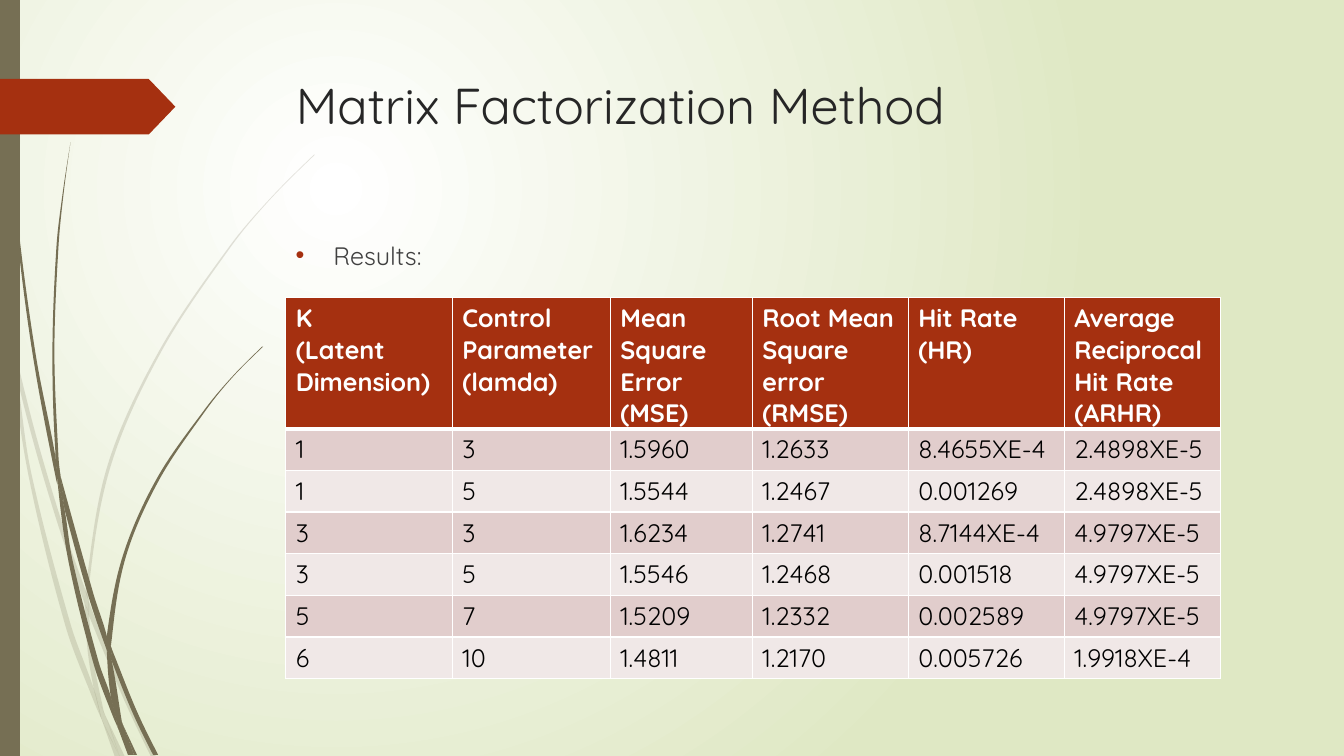
"""Build a slide with a results table for the matrix factorization method."""
from dataclasses import dataclass

from lxml import etree
from pptx import Presentation
from pptx.dml.color import RGBColor
from pptx.enum.shapes import MSO_SHAPE
from pptx.enum.text import MSO_ANCHOR, MSO_AUTO_SIZE, PP_ALIGN
from pptx.oxml.ns import qn
from pptx.util import Cm, Pt

RECTANGLE, PENTAGON = MSO_SHAPE.RECTANGLE, MSO_SHAPE.PENTAGON
TOP, LEFT, NO_AUTOFIT = MSO_ANCHOR.TOP, PP_ALIGN.LEFT, MSO_AUTO_SIZE.NONE

WHITE = RGBColor(0xFF, 0xFF, 0xFF)
BLACK = RGBColor(0x00, 0x00, 0x00)
PALE_GREEN = RGBColor(0xDF, 0xE8, 0xC4)
OLIVE = RGBColor(0x76, 0x6F, 0x54)
RUST = RGBColor(0xA5, 0x30, 0x10)
TITLE_GREY = RGBColor(0x26, 0x26, 0x26)
BODY_GREY = RGBColor(0x40, 0x40, 0x40)
ROSE = RGBColor(0xE1, 0xCD, 0xCC)
LIGHT_ROSE = RGBColor(0xF0, 0xE8, 0xE7)
FONT = "Quicksand"
GRASS_UNIT = Cm(2.54)
Edge = list[tuple[float, float]]


@dataclass
class Blade:
    """A piece of grass between two edges, each running downwards in grass units."""
    near: Edge
    far: Edge


FAINT_GRASS = [
    Blade([(0, 2.82), (.09, 3.22), (.11, 3.5)], [(0, 2.99), (.1, 3.44)]),
    Blade([(.14, 3.45), (.36, 4.33), (.62, 5.2), (.85, 5.86)],
          [(.17, 3.76), (.36, 4.49), (.58, 5.22), (.84, 5.99)]),
    Blade([(.88, 5.96), (.92, 6.07), (1.27, 6.92), (1.55, 7.51)],
          [(.88, 6.1), (1.23, 6.94), (1.5, 7.51)]),
    Blade([(1.05, 7.11), (1.24, 7.51)], [(1.19, 7.51)]),
    Blade([(.11, 3.5), (.17, 3.76), (.31, 4.69), (.7, 6.19), (.93, 6.83), (1.01, 7.14)],
          [(.11, 3.5), (.28, 4.7), (.65, 6.21), (.92, 6.93), (1.01, 7.14)]),
    Blade([(.84, 5.99), (.88, 6.08), (.91, 6.46), (1.03, 7.06), (1.05, 7.11)],
          [(.84, 5.99), (.87, 6.46), (.93, 6.83), (.96, 6.92)]),
    Blade([(3.12, 1.53), (2.68, 1.97), (2.28, 2.44), (1.58, 3.48), (1.07, 4.61), (.85, 5.84),
           (.88, 5.96)],
          [(3.12, 1.54), (2.68, 1.98), (2.29, 2.45), (1.6, 3.49), (1.1, 4.62), (.88, 5.84)]),
    Blade([(1.01, 7.14), (1.19, 7.51)], [(1.14, 7.51)]),
    Blade([(.85, 5.86), (.88, 5.96), (.88, 6.1)], [(.84, 5.99), (.88, 6.08)]),
    Blade([(.93, 6.83), (.96, 6.92), (1.05, 7.11), (1.19, 7.51)],
          [(.99, 7.07), (1.01, 7.14), (1.19, 7.51)]),
]
SOLID_GRASS = [
    Blade([(.04, 0), (.05, .48), (.08, 1.09), (.19, 2.32), (.36, 3.55), (.55, 4.53), (.57, 4.81)],
          [(.03, 0), (.04, .48), (.07, 1.1), (.17, 2.33), (.33, 3.55), (.56, 4.77)]),
    Blade([(.6, 4.72), (.93, 5.9), (1.06, 6.31), (1.06, 6.45)],
          [(.64, 5.05), (.88, 5.92), (1.06, 6.45)]),
    Blade([(1.1, 6.41), (1.13, 6.49), (1.36, 7.06), (1.57, 7.49)],
          [(1.11, 6.56), (1.32, 7.08), (1.52, 7.49)]),
    Blade([(.57, 4.77), (.64, 5.05), (.72, 5.56), (.98, 6.57), (1.1, 6.91), (1.17, 7.22)],
          [(.57, 4.77), (.68, 5.57), (.93, 6.59), (1.11, 7.08), (1.17, 7.22)]),
    Blade([(.7, 1.41), (.62, 1.93), (.56, 2.45), (.52, 3.49), (.55, 4.49), (.6, 4.72)],
          [(.7, 1.41), (.63, 1.93), (.58, 2.45), (.54, 3.49), (.58, 4.53), (.6, 4.72)]),
    Blade([(1.22, 7.19), (1.36, 7.49)], [(1.33, 7.49)]),
    Blade([(.55, 4.49), (.6, 4.72), (.64, 5.05)], [(.55, 4.53), (.57, 4.77)]),
    Blade([(2.6, 3.44), (2.31, 3.73), (2.04, 4.05), (1.56, 4.74), (1.22, 5.51), (1.06, 6.31),
           (1.1, 6.41)],
          [(2.61, 3.44), (2.31, 3.74), (2.05, 4.06), (1.58, 4.76), (1.25, 5.52), (1.11, 6.33)]),
    Blade([(1.17, 7.22), (1.31, 7.49)], [(1.27, 7.49)]),
    Blade([(1.06, 6.45), (1.11, 6.56), (1.21, 7.16), (1.22, 7.19)],
          [(1.06, 6.45), (1.1, 6.91), (1.16, 7.06)]),
    Blade([(1.06, 6.31), (1.1, 6.41), (1.11, 6.56)], [(1.06, 6.45)]),
    Blade([(1.1, 6.91), (1.22, 7.19), (1.33, 7.49)], [(1.17, 7.22), (1.3, 7.49)]),
]

COLUMN_WIDTHS = [4.2, 3.98, 3.58, 3.93, 3.93, 3.93]
RESULTS = [
    ["K\n(Latent Dimension)", "Control Parameter (lamda)", "Mean Square Error (MSE)",
     "Root Mean Square error\n(RMSE)", "Hit Rate (HR)", "Average Reciprocal Hit Rate\n(ARHR)"],
    ["1", "3", "1.5960", "1.2633", "8.4655XE-4", "2.4898XE-5"],
    ["1", "5", "1.5544", "1.2467", "0.001269", "2.4898XE-5"],
    ["3", "3", "1.6234", "1.2741", "8.7144XE-4", "4.9797XE-5"],
    ["3", "5", "1.5546", "1.2468", "0.001518", "4.9797XE-5"],
    ["5", "7", "1.5209", "1.2332", "0.002589", "4.9797XE-5"],
    ["6", "10", "1.4811", "1.2170", "0.005726", "1.9918XE-4"],
]


def write(frame, text: str, *, size: int = 18, color: RGBColor = BLACK, bold: bool = False) -> None:
    """Fill a text frame, one paragraph for each line of text."""
    frame.word_wrap = True
    frame.text = text
    for para in frame.paragraphs:
        para.alignment = LEFT
        for span in para.runs:
            span.font.name, span.font.size, span.font.bold = FONT, Pt(size), bold
            span.font.color.rgb = color


def paint(shape, color: RGBColor, opacity: int = 100) -> None:
    """Give a shape a plain fill without line or shadow."""
    shape.shadow.inherit = False
    shape.fill.solid()
    shape.fill.fore_color.rgb = color
    shape.line.fill.background()
    if opacity < 100:
        fill_color = shape.element.spPr.find(qn("a:solidFill"))[0]
        etree.SubElement(fill_color, qn("a:alpha"), val=str(opacity * 1000))


def paint_background(page) -> None:
    """Lay a circular white to green gradient behind the slide."""
    fill = page.background.fill
    fill.gradient()
    for stop, color in zip(fill.gradient_stops, (WHITE, PALE_GREEN)):
        stop.color.rgb = color
    linear = page.element.find(".//" + qn("a:lin"))
    circle = etree.Element(qn("a:path"), path="circle")
    etree.SubElement(circle, qn("a:fillToRect"), l="50000", t="50000", r="100000", b="100000")
    linear.getparent().replace(linear, circle)


def edge_curves(edge: Edge) -> list[Edge]:
    """Return the control points and end of each smooth curve along an edge."""
    chords = [(x1 - x0) / (y1 - y0) for (x0, y0), (x1, y1) in zip(edge, edge[1:])]
    inner = [(x1 - x0) / (y1 - y0) for (x0, y0), (x1, y1) in zip(edge, edge[2:])]
    if inner:
        slopes = [1.5 * chords[0] - inner[0] / 2, *inner, 1.5 * chords[-1] - inner[-1] / 2]
    else:
        slopes = chords * 2
    curves = []
    for (x0, y0), (x1, y1), s0, s1 in zip(edge, edge[1:], slopes, slopes[1:]):
        third = (y1 - y0) / 3
        curves.append([(x0 + s0 * third, y0 + third), (x1 - s1 * third, y1 - third), (x1, y1)])
    return curves


def draw_blade(page, blade: Blade, opacity: int) -> None:
    """Draw a piece of grass as a closed outline of curves."""
    anchors = [(round(x * GRASS_UNIT), round(y * GRASS_UNIT))
               for x, y in blade.near + blade.far[::-1]]
    builder = page.shapes.build_freeform(*anchors[0])
    builder.add_line_segments(anchors[1:], close=True)
    shape = builder.convert_to_shape()
    joint = [[blade.far[-1]]]
    curves = edge_curves(blade.near) + joint + edge_curves(blade.far[::-1])
    for line, curve in zip(list(shape.element.iter(qn("a:lnTo"))), curves):
        if len(curve) == 3:
            bend = etree.Element(qn("a:cubicBezTo"))
            for x, y in curve:
                etree.SubElement(bend, qn("a:pt"), x=str(round(x * GRASS_UNIT) - shape.left),
                                 y=str(round(y * GRASS_UNIT) - shape.top))
            line.getparent().replace(line, bend)
    paint(shape, OLIVE, opacity)


def draw_side_decor(page) -> None:
    """Draw the grass, the side bar and the title pointer."""
    for grass, opacity in ((FAINT_GRASS, 20), (SOLID_GRASS, 100)):
        for blade in grass:
            draw_blade(page, blade, opacity)
    paint(page.shapes.add_shape(RECTANGLE, 0, 0, Cm(0.5), Cm(19.05)), OLIVE)
    pointer = page.shapes.add_shape(PENTAGON, 0, Cm(1.99), Cm(4.42), Cm(1.4))
    pointer.adjustments[0] = 0.48
    paint(pointer, RUST)


def add_bullet(para, color: RGBColor) -> None:
    """Give a paragraph a hanging round bullet."""
    properties = para._p.get_or_add_pPr()
    properties.set("marL", str(Cm(0.95)))
    properties.set("indent", str(-Cm(0.95)))
    bullet_color = etree.SubElement(properties, qn("a:buClr"))
    etree.SubElement(bullet_color, qn("a:srgbClr"), val=str(color))
    etree.SubElement(properties, qn("a:buFont"), typeface="Arial")
    etree.SubElement(properties, qn("a:buChar"), char="•")


def add_borders(cell, top: int, bottom: int) -> None:
    """Draw white cell borders with the given top and bottom widths in points."""
    properties = cell._tc.get_or_add_tcPr()
    for side, width in (("L", 1), ("R", 1), ("T", top), ("B", bottom)):
        line = etree.SubElement(properties, qn(f"a:ln{side}"), w=str(Pt(width)))
        fill = etree.SubElement(line, qn("a:solidFill"))
        etree.SubElement(fill, qn("a:srgbClr"), val=str(WHITE))


def add_results_table(page) -> None:
    """Add the table of errors and hit rates."""
    holder = page.shapes.add_table(len(RESULTS), len(COLUMN_WIDTHS), Cm(7.2), Cm(7.5),
                                   Cm(sum(COLUMN_WIDTHS)), Cm(9.47))
    table = holder.table
    for column, width in zip(table.columns, COLUMN_WIDTHS):
        column.width = Cm(width)
    for row, values in enumerate(RESULTS):
        header = row == 0
        table.rows[row].height = Cm(1.05)
        for column, value in enumerate(values):
            cell = table.cell(row, column)
            add_borders(cell, top=3 if row == 1 else 1, bottom=3 if header else 1)
            cell.fill.solid()
            cell.fill.fore_color.rgb = RUST if header else (ROSE if row % 2 else LIGHT_ROSE)
            write(cell.text_frame, value, color=WHITE if header else BLACK, bold=header)
    holder.height = Cm(9.47)


def main() -> None:
    """Build and save the deck."""
    deck = Presentation()
    deck.slide_width, deck.slide_height = Cm(33.87), Cm(19.05)
    page = deck.slides.add_slide(deck.slide_layouts[5])
    paint_background(page)
    draw_side_decor(page)
    title = page.shapes.title
    title.left, title.top, title.width, title.height = Cm(7.2), Cm(1.73), Cm(24.77), Cm(3.56)
    write(title.text_frame, "Matrix Factorization Method", size=36, color=TITLE_GREY)
    title.text_frame.vertical_anchor = TOP
    title.text_frame.auto_size = NO_AUTOFIT
    box = page.shapes.add_textbox(Cm(7.2), Cm(5.92), Cm(24.77), Cm(10.49))
    write(box.text_frame, "Results:", color=BODY_GREY)
    add_bullet(box.text_frame.paragraphs[0], RUST)
    add_results_table(page)
    deck.save("out.pptx")


main()
